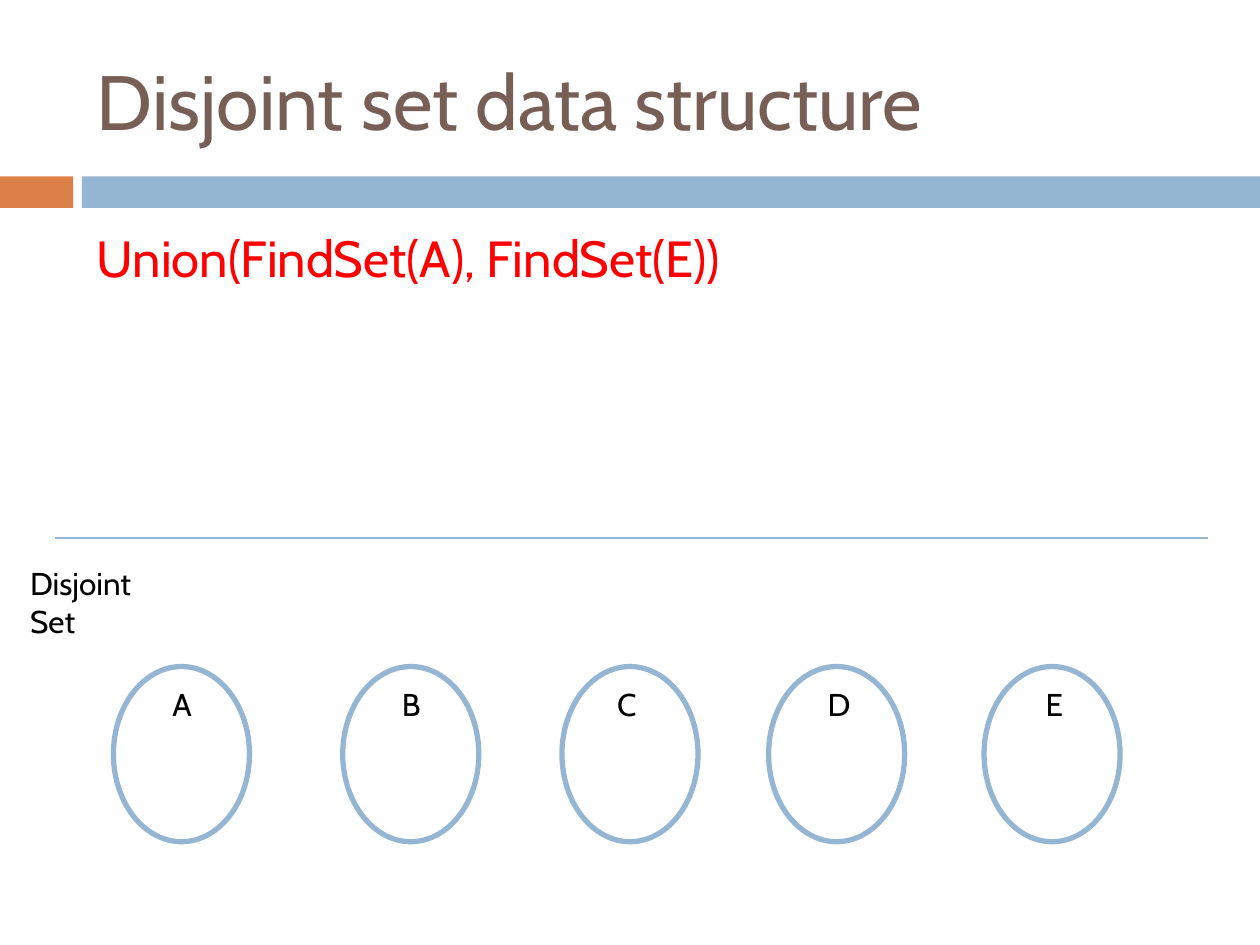
from pptx import Presentation
from pptx.dml.color import RGBColor
from pptx.enum.shapes import MSO_CONNECTOR, MSO_SHAPE
from pptx.enum.text import MSO_ANCHOR
from pptx.oxml.ns import qn
from pptx.util import Inches, Pt
from lxml import etree

RECT, OVAL = MSO_SHAPE.RECTANGLE, MSO_SHAPE.OVAL
STRAIGHT = MSO_CONNECTOR.STRAIGHT
TOP, MIDDLE = MSO_ANCHOR.TOP, MSO_ANCHOR.MIDDLE

FONT = "Cabin"
COLORS = {"orange": "DD8047", "blue": "94B6D2", "title": "775F55",
          "call": "FF0000", "text": "000000"}

# Member, left of its set's ellipse, left of its label
SETS = [("A", 0.9, 1.27), ("B", 2.72, 3.09), ("C", 4.46, 4.8),
        ("D", 6.1, 6.47), ("E", 7.81, 8.2)]


def rgb(name):
    return RGBColor.from_string(COLORS[name])


def add_text(s, text, box, size, color="text", anchor=TOP, wrap=True):
    sp = s.shapes.add_textbox(*map(Inches, box))
    tf = sp.text_frame
    tf.word_wrap = wrap
    tf.vertical_anchor = anchor
    tf.text = text
    font = tf.paragraphs[0].runs[0].font
    font.name, font.size = FONT, Pt(size)
    font.color.rgb = rgb(color)


def add_bar(s, left, width, color):
    sp = s.shapes.add_shape(RECT, Inches(left), Inches(1.4), Inches(width), Inches(0.25))
    sp.shadow.inherit = False
    sp.fill.solid()
    sp.fill.fore_color.rgb = rgb(color)
    sp.line.fill.background()


def add_set_ellipse(s, left):
    sp = s.shapes.add_shape(OVAL, Inches(left), Inches(5.29), Inches(1.08), Inches(1.39))
    sp.shadow.inherit = False
    sp.fill.background()
    sp.line.color.rgb = rgb("blue")
    sp.line.width = Pt(3)


def add_divider(s, left, right, y):
    line = s.shapes.add_connector(STRAIGHT, Inches(left), Inches(y), Inches(right), Inches(y))
    line.line.color.rgb = rgb("blue")
    line.line.width = Pt(1.5)
    etree.SubElement(line._element.spPr, qn("a:effectLst"))


def main():
    prs = Presentation()
    prs.slide_width, prs.slide_height = Inches(10), Inches(7.5)
    s = prs.slides.add_slide(prs.slide_layouts[6])

    # Header bars, title and operation
    add_bar(s, 0, 0.58, "orange")
    add_bar(s, 0.65, 9.35, "blue")
    add_text(s, "Disjoint set data structure", (0.67, 0.25, 8.92, 1.08), 44, "title", MIDDLE)
    add_text(s, "Union(FindSet(A), FindSet(E))", (0.67, 1.75, 8.92, 1.19), 29, "call")

    # Disjoint set area
    add_divider(s, 0.44, 9.59, 4.27)
    add_text(s, "Disjoint Set", (0.14, 4.43, 1.3, 0.7), 18)
    for member, ellipse_left, label_left in SETS:
        add_set_ellipse(s, ellipse_left)
        add_text(s, member, (label_left, 5.39, 0.35, 0.4), 18, wrap=False)

    prs.save("out.pptx")


if __name__ == "__main__":
    main()
